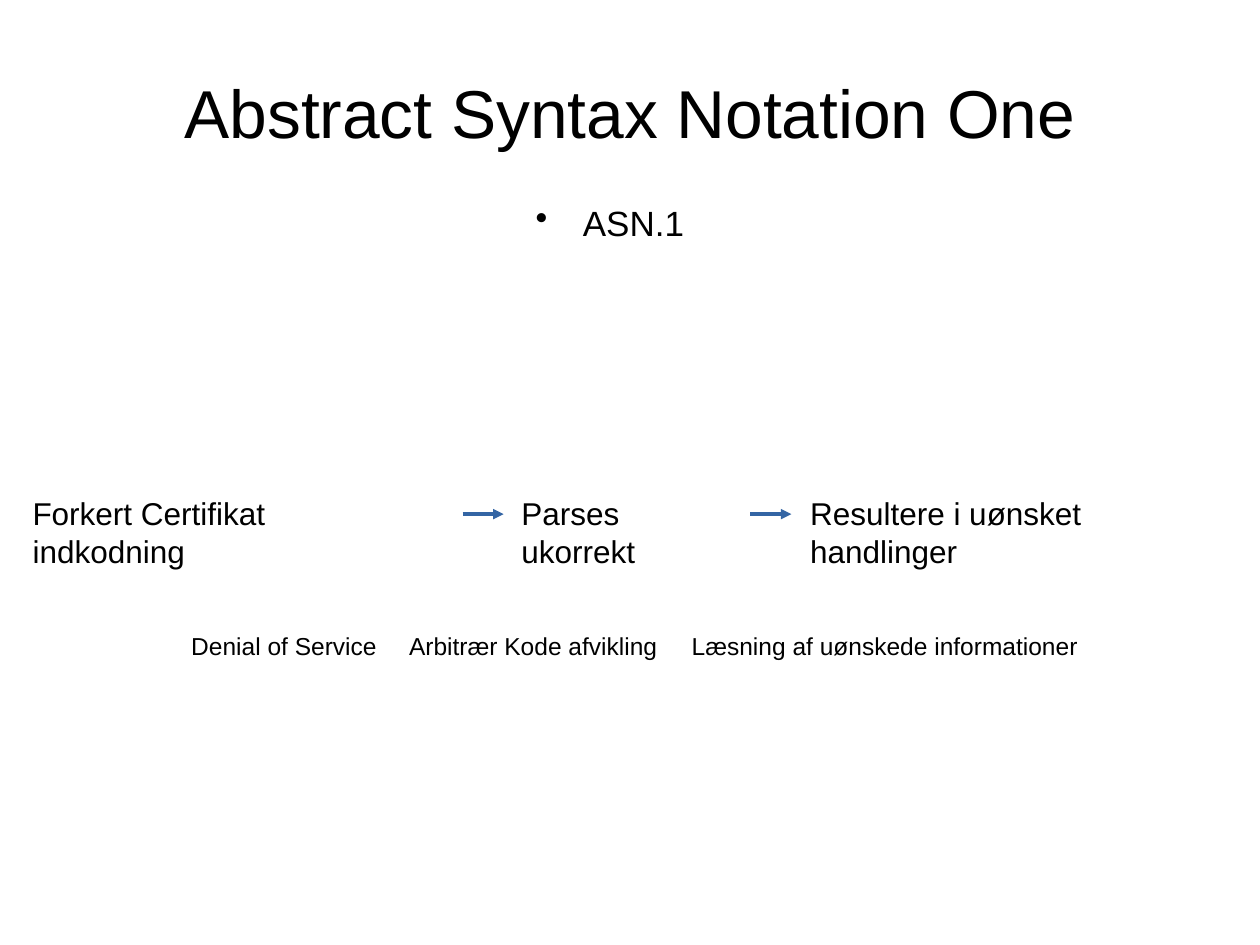
from lxml import etree
from pptx import Presentation
from pptx.dml.color import RGBColor
from pptx.enum.shapes import MSO_CONNECTOR
from pptx.enum.text import MSO_ANCHOR, MSO_AUTO_SIZE, PP_ALIGN
from pptx.oxml.ns import qn
from pptx.util import Pt

STRAIGHT = MSO_CONNECTOR.STRAIGHT
MIDDLE = MSO_ANCHOR.MIDDLE
NO_FIT = MSO_AUTO_SIZE.NONE
CENTER = PP_ALIGN.CENTER

COLORS = {"text": "000000", "arrow": "3465A4"}


def write(sp, box, text, size):
    sp.left, sp.top, sp.width, sp.height = [Pt(v) for v in box]
    tf = sp.text_frame
    tf.word_wrap = True
    tf.auto_size = NO_FIT
    p = tf.paragraphs[0]
    p.text = text
    p.font.name = "Arial"
    p.font.size = Pt(size)
    p.font.color.rgb = RGBColor.from_string(COLORS["text"])
    return p


def add_text(s, box, text, size):
    sp = s.shapes.add_textbox(0, 0, 0, 0)
    return sp, write(sp, box, text, size)


prs = Presentation()
prs.slide_width, prs.slide_height = Pt(720), Pt(540)
s = prs.slides.add_slide(prs.slide_layouts[5])

title = s.shapes.title
p = write(title, (36, 18.7, 648, 90), "Abstract Syntax Notation One", 38.7)
p.alignment = CENTER
title.text_frame.vertical_anchor = MIDDLE

sp, p = add_text(s, (150.5, 111.6, 396, 36), "ASN.1", 20)
p.alignment = CENTER
p.space_before = Pt(5.6)
pPr = p._p.get_or_add_pPr()
pPr.set("marL", str(Pt(27)))
pPr.set("indent", str(Pt(-27)))
bullet = etree.Element(qn("a:buChar"), char="•")
pPr.find(qn("a:spcBef")).addnext(bullet)

steps = [
    (11.5, 239, "Forkert Certifikat indkodning"),
    (290.9, 140.4, "Parses ukorrekt"),
    (455.8, 257.8, "Resultere i uønsket handlinger"),
]
for left, width, text in steps:
    sp, p = add_text(s, (left, 278.6, width, 27.4), text, 18)
    sp.text_frame.margin_right = Pt(14)

for x in (264.4, 428.8):
    arrow = s.shapes.add_connector(STRAIGHT, Pt(x), Pt(293.8), Pt(x + 23.4), Pt(293.8))
    arrow.line.color.rgb = RGBColor.from_string(COLORS["arrow"])
    arrow.line.width = Pt(0)
    etree.SubElement(arrow.line._get_or_add_ln(), qn("a:tailEnd"), type="triangle")
    etree.SubElement(arrow._element.spPr, qn("a:effectLst"))

effects = ["Denial of Service", "Arbitrær Kode afvikling", "Læsning af uønskede informationer"]
sp, p = add_text(s, (102.2, 357.1, 522.7, 23), "\t".join(effects), 14)
tabs = etree.Element(qn("a:tabLst"))
for stop in (124.5, 286):
    etree.SubElement(tabs, qn("a:tab"), pos=str(Pt(stop)), algn="l")
p._p.get_or_add_pPr().insert(0, tabs)

prs.save("out.pptx")
